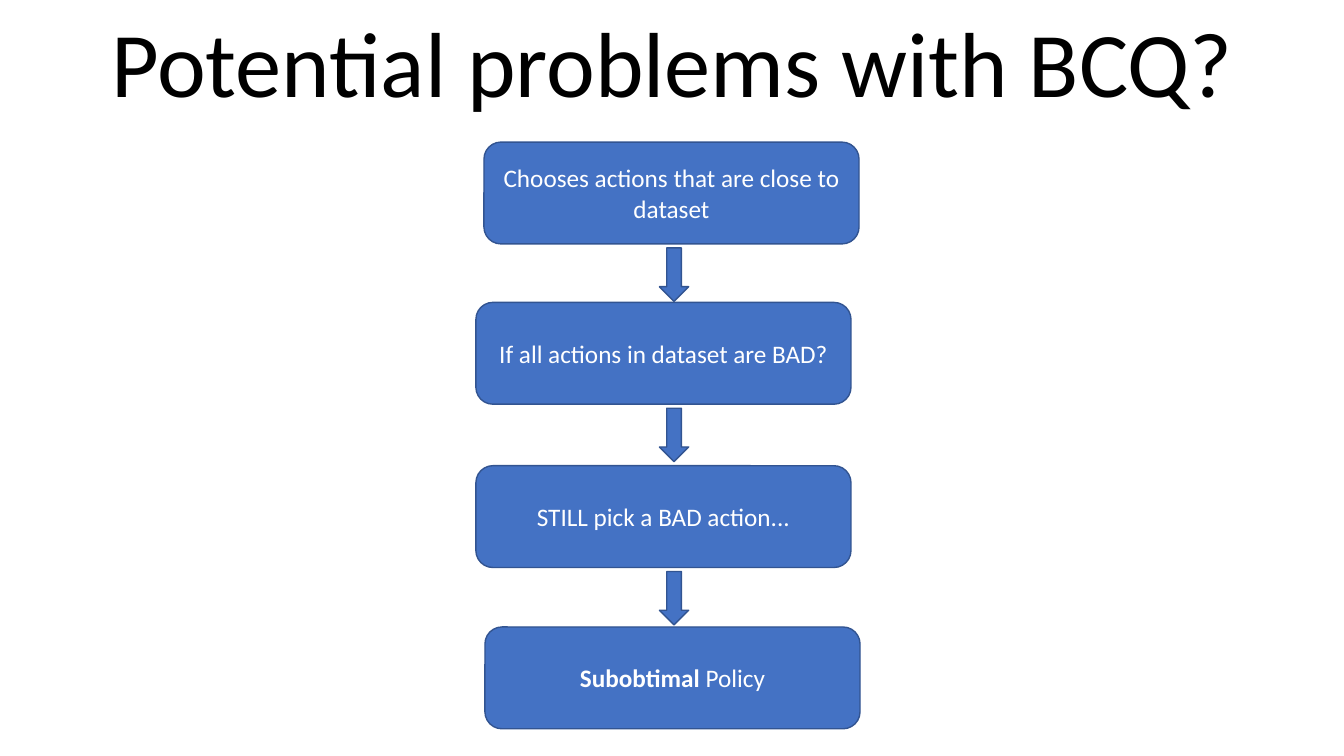
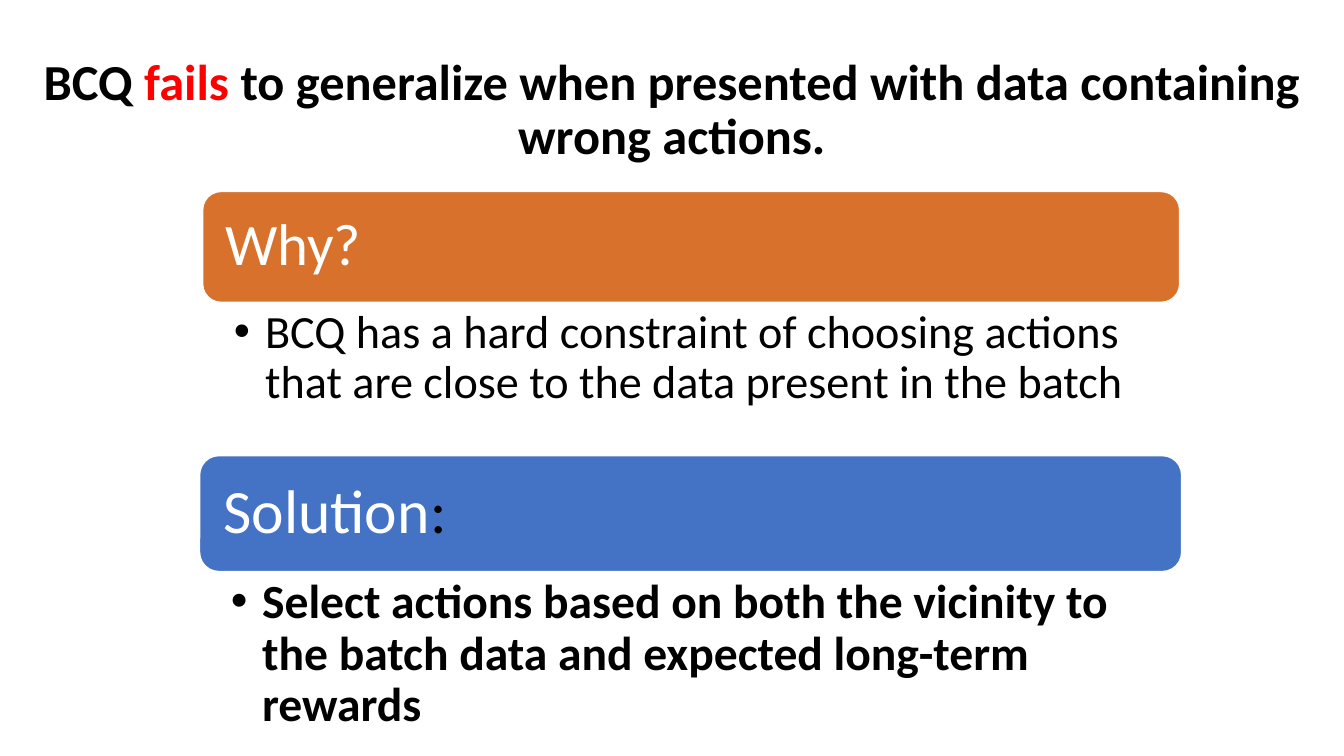
from pptx import Presentation
from pptx.dml.color import RGBColor
from pptx.enum.shapes import MSO_SHAPE
from pptx.enum.text import MSO_ANCHOR, MSO_AUTO_SIZE, PP_ALIGN
from pptx.util import Inches, Pt

ROUNDED, DOWN_ARROW = MSO_SHAPE.ROUNDED_RECTANGLE, MSO_SHAPE.DOWN_ARROW
MIDDLE, TOP = MSO_ANCHOR.MIDDLE, MSO_ANCHOR.TOP
CENTER, LEFT = PP_ALIGN.CENTER, PP_ALIGN.LEFT
TITLE_ONLY, TWO_CONTENT = 5, 3

FONT = "Calibri"
BLACK, WHITE, RED = "000000", "FFFFFF", "FF0000"
BLUE, DARK_BLUE, ORANGE = "4472C4", "325491", "D7712C"


def write(shape, spans, size, color=BLACK, bold=False, align=CENTER, anchor=MIDDLE,
          insets=(0.1, 0.05, 0.1, 0.05), line_spacing=0.9, hanging=None):
    """Fill a shape with one paragraph; each span is (text, font overrides)."""
    frame = shape.text_frame
    frame.word_wrap = True
    frame.auto_size = MSO_AUTO_SIZE.NONE
    frame.vertical_anchor = anchor
    (frame.margin_left, frame.margin_top,
     frame.margin_right, frame.margin_bottom) = [Inches(inset) for inset in insets]
    para = frame.paragraphs[0]
    para.alignment = align
    para.line_spacing = line_spacing
    para.space_before = Pt(0)
    if hanging:
        properties = para._p.get_or_add_pPr()
        properties.set("marL", str(Inches(hanging)))
        properties.set("indent", str(-Inches(hanging)))
    for text, overrides in spans:
        span = para.add_run()
        span.text = text
        span.font.name = FONT
        span.font.size = Pt(size)
        span.font.bold = overrides.get("bold", bold)
        span.font.color.rgb = RGBColor.from_string(overrides.get("color", color))


def add_block(slide, kind, left, top, width, height, fill=BLUE, line=DARK_BLUE):
    block = slide.shapes.add_shape(
        kind, Inches(left), Inches(top), Inches(width), Inches(height))
    block.shadow.inherit = False
    block.fill.solid()
    block.fill.fore_color.rgb = RGBColor.from_string(fill)
    block.line.color.rgb = RGBColor.from_string(line)
    block.line.width = Pt(1)
    return block


deck = Presentation()
deck.slide_width, deck.slide_height = Inches(13.33), Inches(7.5)

# Slide 1: chain of consequences
slide = deck.slides.add_slide(deck.slide_layouts[TITLE_ONLY])
title = slide.shapes.title
title.left, title.top = Inches(0.92), Inches(-0.05)
title.width, title.height = Inches(11.5), Inches(1.45)
write(title, [("Potential problems with BCQ?", {})], 66)

steps = [
    (4.8, 1.41, [("Chooses actions that are close to dataset", {})]),
    (4.72, 3, [("If all actions in dataset are BAD?", {})]),
    (4.72, 4.62, [("STILL pick a BAD action...", {})]),
    (4.81, 6.22, [("Subobtimal ", {"bold": True}), ("Policy", {})]),
]
STEP_HEIGHT, ARROW_GAP = 1.01, 0.04
for number, (left, top, spans) in enumerate(steps, start=1):
    step = add_block(slide, ROUNDED, left, top, 3.72, STEP_HEIGHT)
    write(step, spans, 18, color=WHITE, line_spacing=1.0)
    if number < len(steps):
        add_block(slide, DOWN_ARROW, 6.54, top + STEP_HEIGHT + ARROW_GAP, 0.29, 0.53)

# Slide 2: reason and solution
slide = deck.slides.add_slide(deck.slide_layouts[TWO_CONTENT])
title, *details = slide.placeholders
title.left, title.top = Inches(0.31), Inches(0.73)
title.width, title.height = Inches(12.71), Inches(0.75)
write(title, [
    ("BCQ ", {}),
    ("fails", {"color": RED}),
    (" to generalize when presented with data containing wrong actions.", {}),
], 36, bold=True)

sections = [
    (2.01, 1.9, 9.69, 1.1, ORANGE, [("Why?", {})], 42, 0.17,
     "BCQ has a hard constraint of choosing actions that are close to "
     "the data present in the batch", 33, False),
    (1.98, 4.52, 9.74, 1.15, BLUE, [("Solution", {}), (":", {"color": BLACK})], 44, 0.18,
     "Select actions based on both the vicinity to the batch data and "
     "expected long-term rewards", 34, True),
]
for detail, section in zip(details, sections):
    left, top, width, height, fill, heading, heading_size, inset, text, size, bold = section
    header = add_block(slide, ROUNDED, left, top, width, height, fill, WHITE)
    write(header, heading, heading_size, color=WHITE, align=LEFT, insets=[inset] * 4)
    detail.left, detail.top = Inches(left), Inches(top + height)
    detail.width, detail.height = Inches(width), Inches(1.15)
    write(detail, [(text, {})], size, bold=bold, align=LEFT, anchor=TOP,
          insets=(0.31, 0.06, 0.33, 0.06), hanging=0.31)

deck.save("out.pptx")
